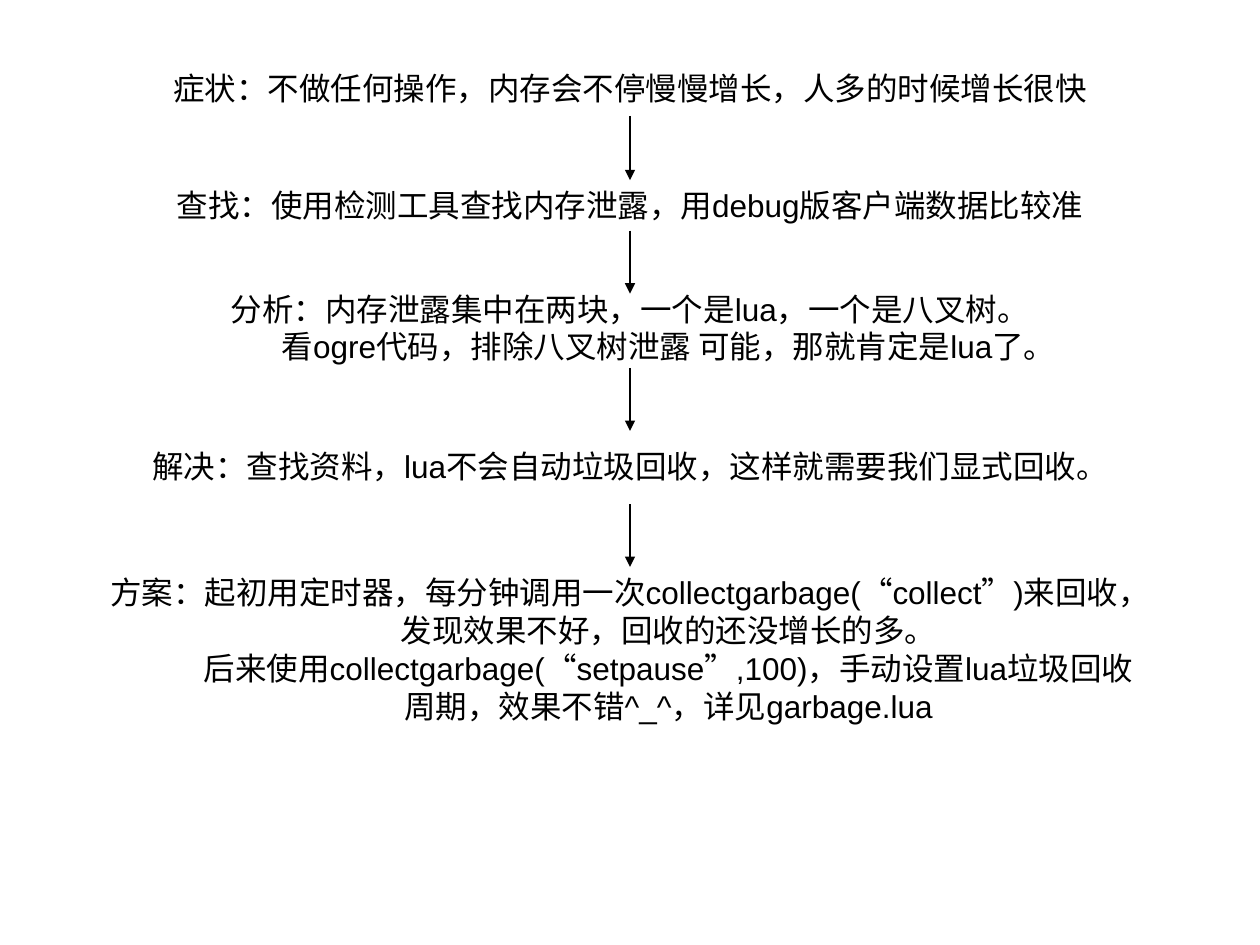
from lxml.etree import SubElement
from pptx import Presentation
from pptx.dml.color import RGBColor
from pptx.enum.shapes import MSO_CONNECTOR
from pptx.enum.text import MSO_AUTO_SIZE, PP_ALIGN
from pptx.oxml.ns import qn
from pptx.util import Pt

BLACK = RGBColor(0, 0, 0)
WIDTH, HEIGHT = 720, 540
ARROW_LENGTH = 36
INDENT = 44

# top, height, lines
STEPS = [
    (36, 29, ["症状：不做任何操作，内存会不停慢慢增长，人多的时候增长很快"]),
    (103, 29, ["查找：使用检测工具查找内存泄露，用debug版客户端数据比较准"]),
    (162, 50.5, ["分析：内存泄露集中在两块，一个是lua，一个是八叉树。",
                 "看ogre代码，排除八叉树泄露 可能，那就肯定是lua了。"]),
    (252, 29, ["解决：查找资料，lua不会自动垃圾回收，这样就需要我们显式回收。"]),
    (324, 94, ["方案：起初用定时器，每分钟调用一次collectgarbage(“collect”)来回收，",
               "发现效果不好，回收的还没增长的多。",
               "后来使用collectgarbage(“setpause”,100)，手动设置lua垃圾回收",
               "周期，效果不错^_^，详见garbage.lua"]),
]
# top, index of the step whose top side the arrow meets
ARROWS = [(66.25, 1), (131.75, None), (210.25, None), (288, 4)]


def write_line(p, text, font="Arial", size=18, color=BLACK, indent=0):
    p.alignment = PP_ALIGN.CENTER
    if indent:
        p._p.get_or_add_pPr().set("marL", str(Pt(indent)))
    r = p.add_run()
    r.text = text
    r.font.name = font
    r.font.size = Pt(size)
    r.font.color.rgb = color


class FlowSlide:
    def __init__(self, slide, color=BLACK, line_width=0.75):
        self.s = slide
        self.color = color
        self.line_width = line_width

    def step(self, top, height, lines):
        """Add a full-width centred text whose later lines are indented."""
        sp = self.s.shapes.add_textbox(0, Pt(top), Pt(WIDTH), Pt(height))
        tf = sp.text_frame
        tf.word_wrap = True
        tf.auto_size = MSO_AUTO_SIZE.SHAPE_TO_FIT_TEXT
        for i, text in enumerate(lines):
            p = tf.add_paragraph() if i else tf.paragraphs[0]
            write_line(p, text, color=self.color, indent=INDENT if i else 0)
        return sp

    def arrow(self, top, target=None):
        x = Pt(WIDTH / 2)
        c = self.s.shapes.add_connector(
            MSO_CONNECTOR.STRAIGHT, x, Pt(top), x, Pt(top + ARROW_LENGTH))
        c.line.color.rgb = self.color
        c.line.width = Pt(self.line_width)
        SubElement(c.line._get_or_add_ln(), qn("a:tailEnd"), type="triangle")
        SubElement(c._element.spPr, qn("a:effectLst"))
        if target is not None:
            c.end_connect(target, 0)


def main():
    prs = Presentation()
    prs.slide_width, prs.slide_height = Pt(WIDTH), Pt(HEIGHT)
    flow = FlowSlide(prs.slides.add_slide(prs.slide_layouts[6]))
    boxes = [flow.step(*step) for step in STEPS]
    for top, index in ARROWS:
        flow.arrow(top, None if index is None else boxes[index])
    prs.save("out.pptx")


if __name__ == "__main__":
    main()
